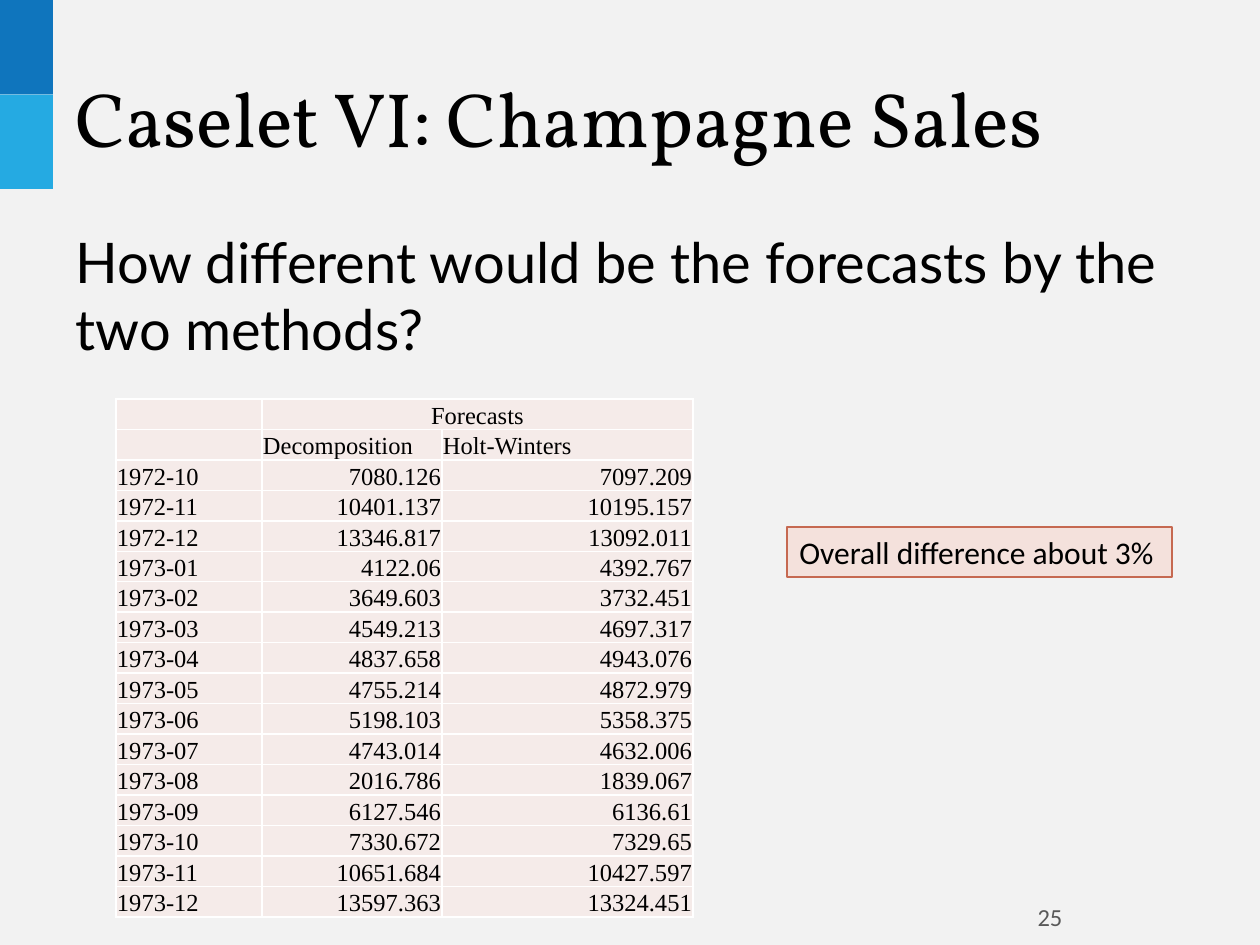
from lxml import etree
from pptx import Presentation
from pptx import util as u
from pptx.dml import color
from pptx.enum import shapes, text
from pptx.oxml import ns

PX = u.Inches(1) / 126
COLORS = {
    "background": "F2F2F2", "dark_blue": "0F75BD", "light_blue": "25AAE2",
    "black": "000000", "grey": "595959", "white": "FFFFFF",
    "cell": "F5EBE9", "callout": "F4E1DC", "callout_line": "C66951",
}
LEFT, CENTER, RIGHT = text.PP_ALIGN.LEFT, text.PP_ALIGN.CENTER, text.PP_ALIGN.RIGHT
TOP, MIDDLE, BOTTOM = text.MSO_ANCHOR.TOP, text.MSO_ANCHOR.MIDDLE, text.MSO_ANCHOR.BOTTOM
FORECASTS = [
    ("1972-10", "7080.126", "7097.209"),
    ("1972-11", "10401.137", "10195.157"),
    ("1972-12", "13346.817", "13092.011"),
    ("1973-01", "4122.06", "4392.767"),
    ("1973-02", "3649.603", "3732.451"),
    ("1973-03", "4549.213", "4697.317"),
    ("1973-04", "4837.658", "4943.076"),
    ("1973-05", "4755.214", "4872.979"),
    ("1973-06", "5198.103", "5358.375"),
    ("1973-07", "4743.014", "4632.006"),
    ("1973-08", "2016.786", "1839.067"),
    ("1973-09", "6127.546", "6136.61"),
    ("1973-10", "7330.672", "7329.65"),
    ("1973-11", "10651.684", "10427.597"),
    ("1973-12", "13597.363", "13324.451"),
]


def px(*values):
    return [u.Emu(round(v * PX)) for v in values]


def rgb(name):
    return color.RGBColor.from_string(COLORS[name])


class Deck:
    """Holds the style and the current slide, and adds each kind of element."""

    def __init__(self, width, height):
        self.prs = Presentation()
        self.prs.slide_width, self.prs.slide_height = px(width, height)
        self.s = self.prs.slides.add_slide(self.prs.slide_layouts[6])
        self.fill(self.s.background, "background")

    def fill(self, target, name):
        target.fill.solid()
        target.fill.fore_color.rgb = rgb(name)

    def style(self, tf, words, size, font, name="black", align=LEFT):
        tf.text = words
        p = tf.paragraphs[0]
        p.alignment = align
        for r in p.runs:
            r.font.size, r.font.name = u.Pt(size), font
            r.font.color.rgb = rgb(name)
        if not words:
            etree.SubElement(p._p, ns.qn("a:endParaRPr"), sz=str(size * 100))

    def rect(self, box, fill, line=None):
        sp = self.s.shapes.add_shape(shapes.MSO_SHAPE.RECTANGLE, *px(*box))
        sp.shadow.inherit = False
        self.fill(sp, fill)
        if line:
            sp.line.color.rgb = rgb(line)
            sp.line.width = u.Pt(0.75)
        else:
            sp.line.fill.background()
        return sp

    def text(self, box, words, size, font, name="black", align=LEFT, anchor=TOP):
        tf = self.s.shapes.add_textbox(*px(*box)).text_frame
        tf.word_wrap, tf.vertical_anchor = True, anchor
        self.style(tf, words, size, font, name, align)

    def callout(self, box, words, size, font):
        tf = self.rect(box, "callout", "callout_line").text_frame
        tf.word_wrap, tf.vertical_anchor = False, TOP
        tf.auto_size = text.MSO_AUTO_SIZE.SHAPE_TO_FIT_TEXT
        self.style(tf, words, size, font)

    def borders(self, cell):
        tc_pr = cell._tc.get_or_add_tcPr()
        for side in ("lnL", "lnR", "lnT", "lnB"):
            ln = etree.SubElement(tc_pr, ns.qn(f"a:{side}"), w=str(u.Pt(1)))
            solid = etree.SubElement(ln, ns.qn("a:solidFill"))
            etree.SubElement(solid, ns.qn("a:srgbClr"), val=COLORS["white"])

    def cell(self, cell, words, align):
        cell.vertical_anchor = BOTTOM
        cell.margin_left, cell.margin_right, cell.margin_top, cell.margin_bottom = px(1, 1, 1, 0)
        self.borders(cell)
        self.fill(cell, "cell")
        self.style(cell.text_frame, words, 14, "Times New Roman", align=align)

    def table(self, left, top, widths, row_height, rows):
        box = px(left, top, sum(widths), row_height * len(rows))
        table = self.s.shapes.add_table(len(rows), len(widths), *box).table
        for column, width in zip(table.columns, px(*widths)):
            column.width = width
        for i, row in enumerate(rows):
            table.rows[i].height = px(row_height)[0]
            for j, words in enumerate(row):
                align = CENTER if i == 0 else RIGHT if i > 1 and j else LEFT
                self.cell(table.cell(i, j), words, align)
        table.cell(0, 1).merge(table.cell(0, 2))


def main():
    deck = Deck(1260, 945)
    for i, name in enumerate(("dark_blue", "light_blue")):
        deck.rect((0, i * 94.5, 53, 94.5), name)
    deck.text((63, 38, 1134, 157), "Caselet VI: Champagne Sales", 44, "Vollkorn", anchor=MIDDLE)
    deck.text((63, 221, 1134, 179),
              "How different would be the forecasts by the two methods?", 32, "Lato")
    deck.text((903, 892, 294, 50), "25", 14, "Calibri", "grey", CENTER, MIDDLE)
    headings = [("", "Forecasts", ""), ("", "Decomposition", "Holt-Winters")]
    deck.table(116, 399, (146, 180, 251), 30, headings + FORECASTS)
    deck.callout((787, 527, 385, 50), "Overall difference about 3%", 18, "Calibri")
    deck.prs.save("out.pptx")


if __name__ == "__main__":
    main()
